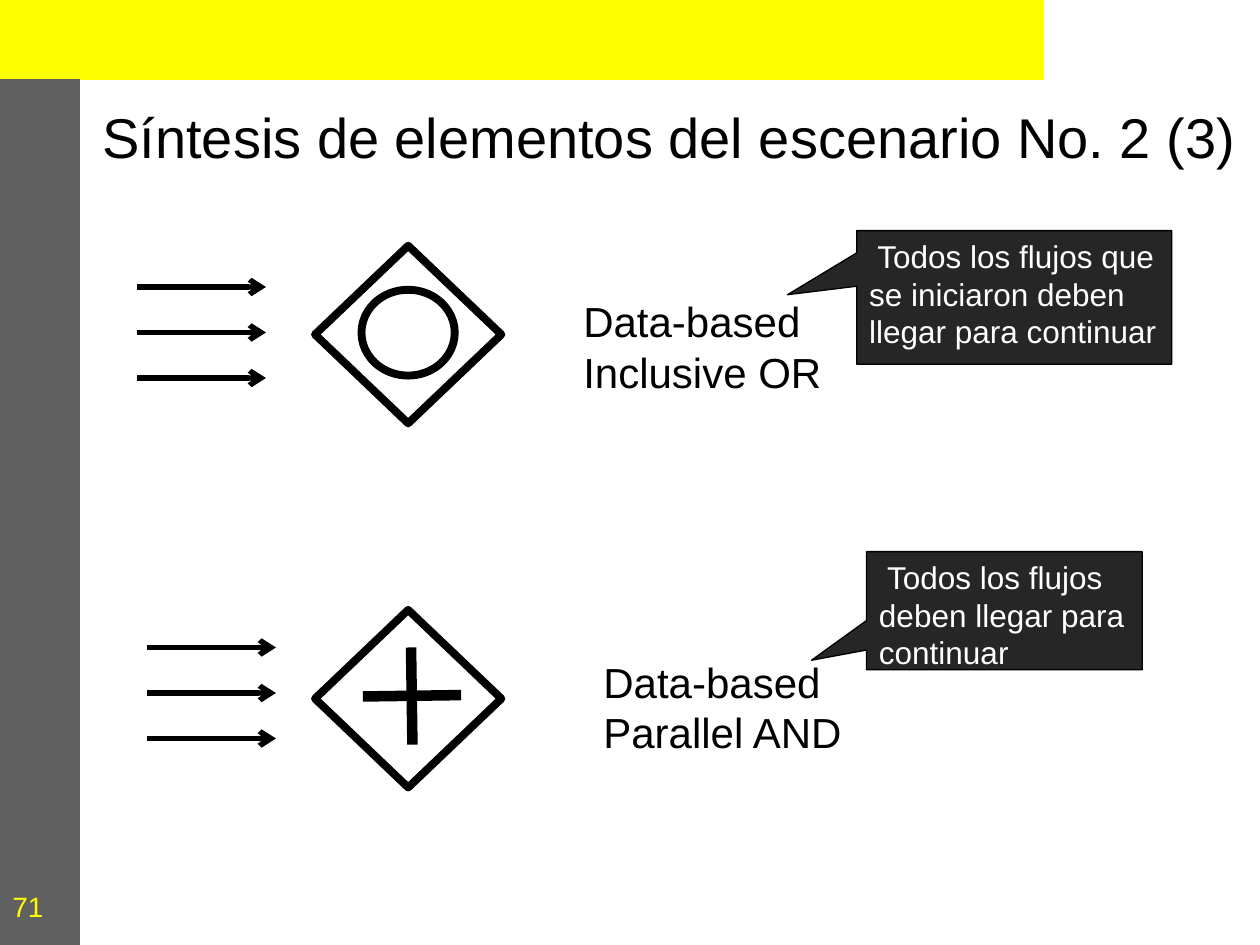
from dataclasses import dataclass

from lxml import etree
from pptx import Presentation
from pptx.dml.color import RGBColor
from pptx.enum.shapes import MSO_CONNECTOR, MSO_SHAPE
from pptx.enum.text import MSO_ANCHOR, PP_ALIGN
from pptx.oxml.ns import qn
from pptx.util import Pt

RECTANGLE = MSO_SHAPE.RECTANGLE
DIAMOND = MSO_SHAPE.FLOWCHART_DECISION
OVAL = MSO_SHAPE.OVAL
CALLOUT = MSO_SHAPE.RECTANGULAR_CALLOUT
STRAIGHT = MSO_CONNECTOR.STRAIGHT
TOP, MIDDLE = MSO_ANCHOR.TOP, MSO_ANCHOR.MIDDLE
LEFT, CENTER = PP_ALIGN.LEFT, PP_ALIGN.CENTER


@dataclass(frozen=True)
class Theme:
    """Colours, font and type sizes of the slide."""
    font: str = "Arial"
    black: RGBColor = RGBColor(0x00, 0x00, 0x00)
    white: RGBColor = RGBColor(0xFF, 0xFF, 0xFF)
    yellow: RGBColor = RGBColor(0xFF, 0xFF, 0x00)
    grey: RGBColor = RGBColor(0x60, 0x60, 0x60)
    dark: RGBColor = RGBColor(0x26, 0x26, 0x26)
    title: int = 32
    label: int = 24
    note: int = 18
    number: int = 16


THEME = Theme()


def points(*values):
    """Turn plain numbers into point lengths."""
    return [Pt(value) for value in values]


def write(box, text, size, color, anchor=TOP, align=LEFT):
    """Put one paragraph of text into a box."""
    frame = box.text_frame
    frame.word_wrap = True
    frame.vertical_anchor = anchor
    para = frame.paragraphs[0]
    para.text = text
    para.alignment = align
    para.font.name = THEME.font
    para.font.size = Pt(size)
    para.font.color.rgb = color


def add_text(page, bounds, text, size, color, anchor=TOP, align=LEFT):
    """Add a wrapping text box."""
    box = page.shapes.add_textbox(*points(*bounds))
    write(box, text, size, color, anchor, align)


def add_figure(page, kind, bounds, fill, line, width):
    """Add a preset shape, unfilled when fill is None."""
    shape = page.shapes.add_shape(kind, *points(*bounds))
    shape.shadow.inherit = False
    if fill is None:
        shape.fill.background()
    else:
        shape.fill.solid()
        shape.fill.fore_color.rgb = fill
    shape.line.color.rgb = line
    shape.line.width = Pt(width)
    return shape


def add_line(page, ends, width, arrow=False):
    """Add a straight black line, with an arrowhead on request."""
    line = page.shapes.add_connector(STRAIGHT, *points(*ends))
    line.line.color.rgb = THEME.black
    line.line.width = Pt(width)
    if arrow:
        etree.SubElement(line.line._get_or_add_ln(), qn("a:tailEnd"), type="arrow")
    etree.SubElement(line._element.spPr, qn("a:effectLst"))


def add_flows(page, left, top):
    """Add three parallel incoming flows."""
    for index in range(3):
        height = top + 26 * index
        add_line(page, (left, height, left + 73.5, height), 3, arrow=True)


def add_gateway(page, top):
    """Add a diamond with rounded corners."""
    diamond = add_figure(page, DIAMOND, (180, top, 106.5, 101.5), None, THEME.black, 4.5)
    etree.SubElement(diamond.line._get_or_add_ln(), qn("a:round"))


def add_callout(page, bounds, tip, text):
    """Add a dark callout whose tip is given relative to its size."""
    callout = add_figure(page, CALLOUT, bounds, THEME.dark, THEME.black, 0.75)
    callout.adjustments[0], callout.adjustments[1] = tip
    write(callout, text, THEME.note, THEME.white)


def add_frame(page):
    """Add the coloured bars, the slide number and the title."""
    bars = [((0, 0, 596.2, 45.4), THEME.yellow), ((0, 45.4, 45.4, 494.6), THEME.grey)]
    for bounds, color in bars:
        add_figure(page, RECTANGLE, bounds, color, color, 0.75)
    add_text(page, (0, 495.4, 45.4, 44.6), "71", THEME.number, THEME.yellow, MIDDLE)
    add_text(page, (45.4, 48.2, 674.6, 59), "Síntesis de elementos del escenario No. 2 (3)",
             THEME.title, THEME.black, MIDDLE, CENTER)


def add_inclusive(page):
    """Add the inclusive OR gateway with its flows and note."""
    add_text(page, (326.2, 165.6, 200.9, 64.8), "Data-based Inclusive OR",
             THEME.label, THEME.black)
    add_gateway(page, 140.4)
    add_flows(page, 78.5, 164)
    add_callout(page, (489.6, 131.8, 180, 76.3), (-0.72, -0.02),
                " Todos los flujos que se iniciaron deben llegar para continuar")
    add_figure(page, OVAL, (206.6, 165.6, 53.3, 49), THEME.white, THEME.black, 4.5)


def add_parallel(page):
    """Add the parallel AND gateway with its flows and note."""
    add_text(page, (337.7, 371.5, 200.9, 64.8), "Data-based Parallel AND",
             THEME.label, THEME.black)
    add_gateway(page, 348.5)
    add_line(page, (207.4, 398, 263.5, 397.2), 6)
    add_line(page, (234.9, 370, 235.7, 425.5), 6)
    add_flows(page, 84.2, 370)
    add_callout(page, (495.2, 315.2, 157.5, 67.5), (-0.7, 0.42),
                " Todos los flujos deben llegar para continuar")


def main():
    """Build and save the slide."""
    deck = Presentation()
    deck.slide_width, deck.slide_height = points(720, 540)
    page = deck.slides.add_slide(deck.slide_layouts[6])
    add_frame(page)
    add_inclusive(page)
    add_parallel(page)
    deck.save("out.pptx")


if __name__ == "__main__":
    main()
